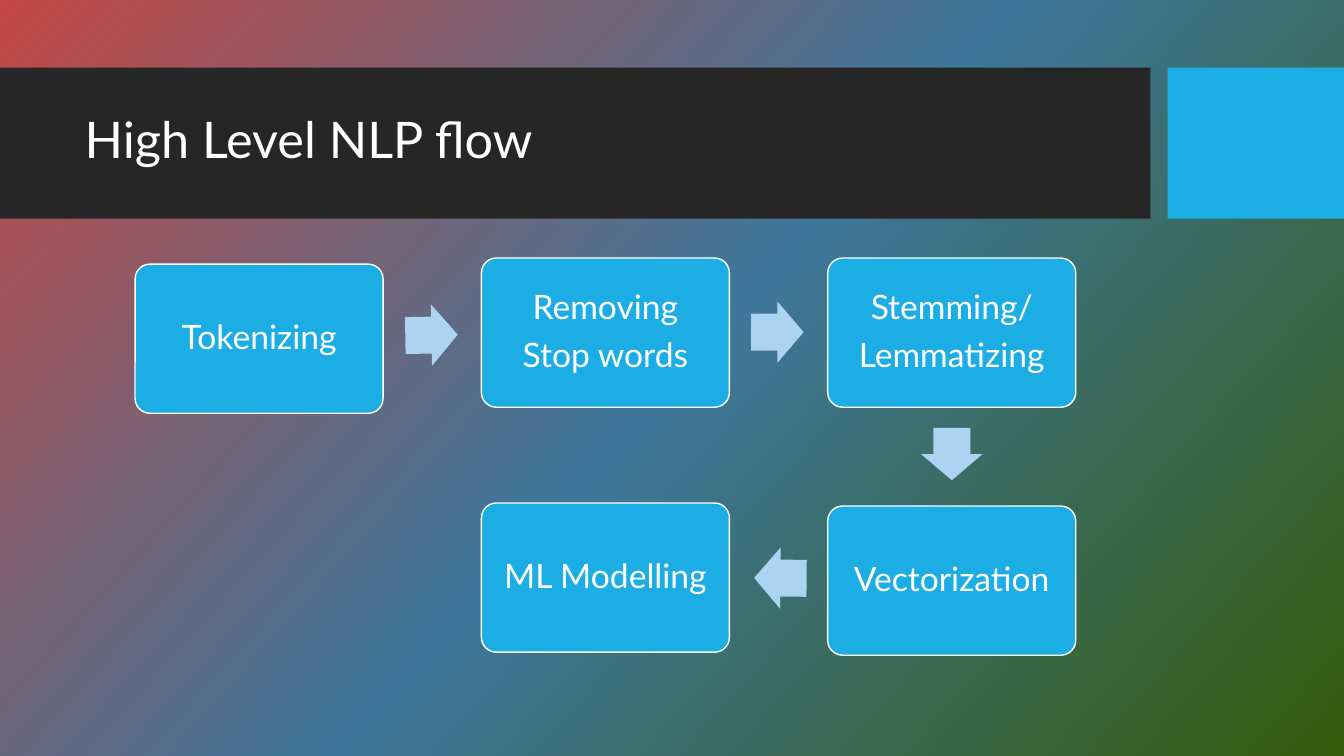
from lxml.etree import SubElement
from pptx import Presentation
from pptx.dml.color import RGBColor
from pptx.enum.shapes import MSO_SHAPE
from pptx.enum.text import MSO_ANCHOR, PP_ALIGN
from pptx.oxml.ns import qn
from pptx.util import Inches, Pt

WHITE = RGBColor(0xFF, 0xFF, 0xFF)
CHARCOAL = RGBColor(0x26, 0x26, 0x26)
BLUE = RGBColor(0x1C, 0xAD, 0xE4)
PALE_BLUE = RGBColor(0xAC, 0xD3, 0xEF)
RED = RGBColor(0xC3, 0x47, 0x44)
STEEL = RGBColor(0x3E, 0x77, 0x9B)
GREEN = RGBColor(0x35, 0x5C, 0x0B)

# Grid of the flow, in inches
LEFT, COLUMN_STEP = 1.34, 3.435
STEP_WIDTH, STEP_HEIGHT = 2.46, 1.48
ARROW_WIDTH, ARROW_HEIGHT = 0.52, 0.61


def add_filled_shape(kind, left, top, width, height, color):
    shape = slide.shapes.add_shape(
        kind, Inches(left), Inches(top), Inches(width), Inches(height))
    shape.shadow.inherit = False
    shape.fill.solid()
    shape.fill.fore_color.rgb = color
    shape.line.fill.background()
    return shape


def add_text(paragraph, text, size, alignment):
    paragraph.alignment = alignment
    paragraph.line_spacing = 0.9
    run = paragraph.add_run()
    run.text = text
    run.font.name = "Lato"
    run.font.size = Pt(size)
    run.font.color.rgb = WHITE


presentation = Presentation()
presentation.slide_width = Inches(13.33)
presentation.slide_height = Inches(7.5)
slide = presentation.slides.add_slide(presentation.slide_layouts[5])

# Diagonal background gradient with three stops
background = slide.background.fill
background.gradient()
background.gradient_angle = 360 - 42
stop_list = slide.element.find(".//" + qn("a:gsLst"))
stop_list.clear()
for position, color in ((0, RED), (50, STEEL), (100, GREEN)):
    stop = SubElement(stop_list, qn("a:gs"), pos=str(position * 1000))
    SubElement(stop, qn("a:srgbClr"), val=str(color))

# Title band and accent block
add_filled_shape(MSO_SHAPE.RECTANGLE, 0, 0.67, 11.41, 1.5, CHARCOAL)
add_filled_shape(MSO_SHAPE.RECTANGLE, 11.58, 0.67, 1.75, 1.5, BLUE)

# Title, brought in front of its band
title = slide.shapes.title
title.left, title.top = Inches(0.74), Inches(0.82)
title.width, title.height = Inches(10.51), Inches(1.18)
title.text_frame.vertical_anchor = MSO_ANCHOR.MIDDLE
add_text(title.text_frame.paragraphs[0], "High Level NLP flow", 36, PP_ALIGN.LEFT)
title.element.getparent().append(title.element)

# Steps: column, top, lines of text
steps = [
    (0, 2.62, ["Tokenizing"]),
    (1, 2.56, ["Removing", "Stop words"]),
    (2, 2.56, ["Stemming/", "Lemmatizing"]),
    (2, 5.02, ["Vectorization"]),
    (1, 4.99, ["ML Modelling"]),
]
for column, top, lines in steps:
    step = add_filled_shape(MSO_SHAPE.ROUNDED_RECTANGLE, LEFT + column * COLUMN_STEP,
                            top, STEP_WIDTH, STEP_HEIGHT, BLUE)
    step.adjustments[0] = 0.1
    step.line.color.rgb = WHITE
    step.line.width = Pt(1)
    frame = step.text_frame
    frame.word_wrap = True
    frame.vertical_anchor = MSO_ANCHOR.MIDDLE
    frame.margin_left = frame.margin_right = Inches(0.14)
    frame.margin_top = frame.margin_bottom = Inches(0.14)
    for index, line in enumerate(lines):
        paragraph = frame.add_paragraph() if index else frame.paragraphs[0]
        paragraph.space_after = Pt(8.4)
        add_text(paragraph, line, 24, PP_ALIGN.CENTER)

# Arrows between steps: left, top, rotation
arrows = [(4.02, 3.02, 359), (7.45, 2.99, 0), (9.18, 4.2, 90), (7.48, 5.43, 180.5)]
for left, top, rotation in arrows:
    arrow = add_filled_shape(MSO_SHAPE.RIGHT_ARROW, left, top,
                             ARROW_WIDTH, ARROW_HEIGHT, PALE_BLUE)
    arrow.adjustments[0] = 0.6
    arrow.adjustments[1] = 0.5
    arrow.rotation = rotation

presentation.save("out.pptx")
